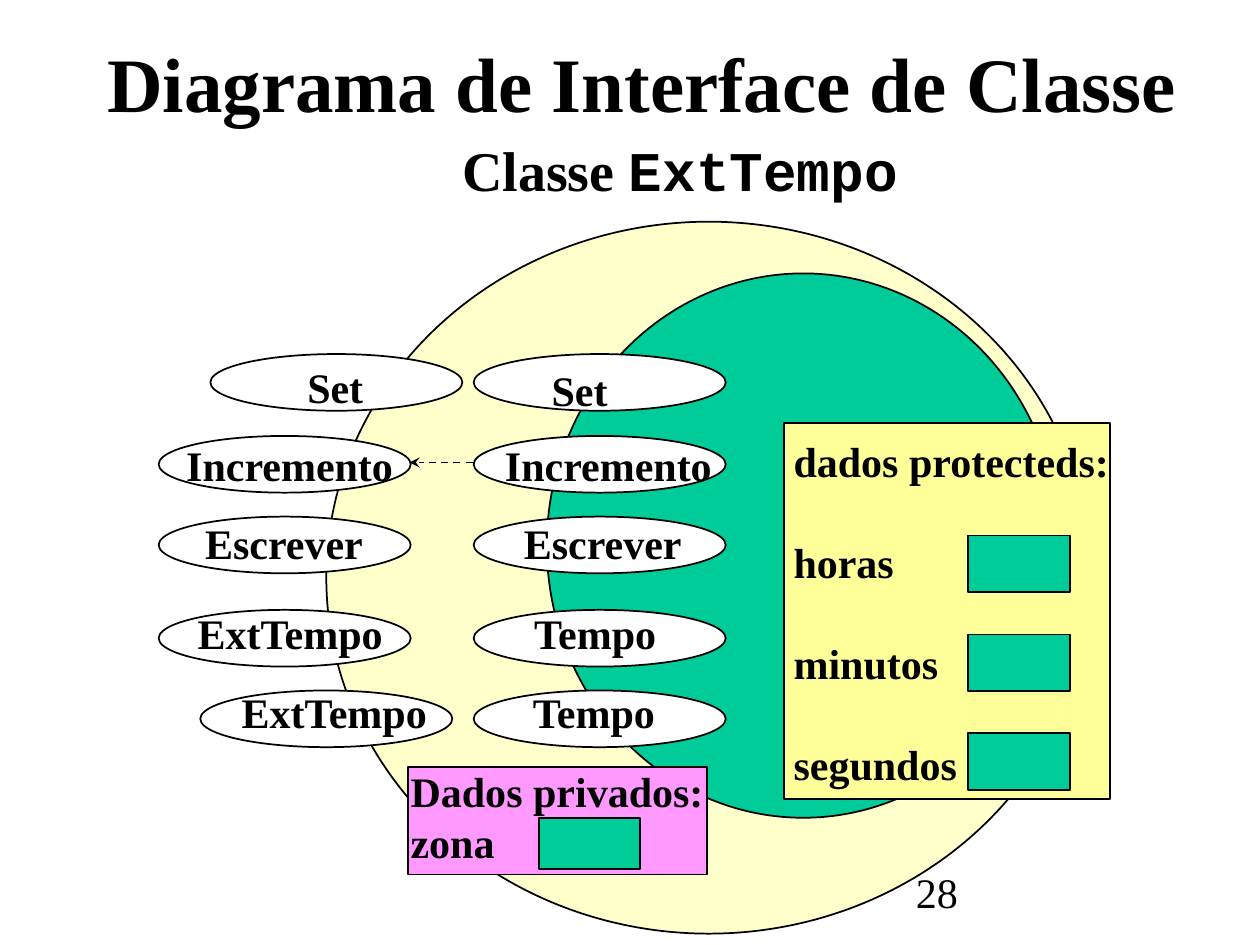
from dataclasses import dataclass

from lxml.etree import SubElement
from pptx import Presentation
from pptx.dml.color import RGBColor
from pptx.enum.dml import MSO_LINE
from pptx.enum.shapes import MSO_CONNECTOR, MSO_SHAPE
from pptx.enum.text import MSO_ANCHOR, MSO_AUTO_SIZE, PP_ALIGN
from pptx.oxml.ns import qn
from pptx.util import Inches, Length, Pt

WIDTH, HEIGHT = Inches(10), Inches(7.5)
COLUMNS, ROWS = 100, 75
SERIF, MONO = "Times New Roman", "Courier New"
BLACK, WHITE = "000000", "FFFFFF"
CREAM, GREEN, YELLOW, PINK = "FFFFCC", "00CC99", "FFFF99", "FF99FF"
BODY_SIZE = 24
LINE_GAP = 28.8


@dataclass(frozen=True)
class Box:
    """Left, top, width and height in grid columns and rows."""
    left: float
    top: float
    width: float
    height: float

    def lengths(self) -> tuple[Length, ...]:
        return x(self.left), y(self.top), x(self.width), y(self.height)


@dataclass(frozen=True)
class Method:
    name: str
    oval_left: float
    oval_top: float
    label_left: float
    label_top: float
    label_width: float


def x(columns: float) -> Length:
    return Length(round(WIDTH * columns / COLUMNS))


def y(rows: float) -> Length:
    return Length(round(HEIGHT * rows / ROWS))


def rgb(color: str) -> RGBColor:
    return RGBColor.from_string(color)


def draw_shape(slide, kind: MSO_SHAPE, box: Box, fill: str) -> None:
    shape = slide.shapes.add_shape(kind, *box.lengths())
    shape.shadow.inherit = False
    shape.fill.solid()
    shape.fill.fore_color.rgb = rgb(fill)
    shape.line.color.rgb = rgb(BLACK)
    shape.line.width = Pt(1)


def format_text(frame, size: float, bold: bool = True, wrap: bool = False) -> None:
    frame.word_wrap = wrap
    frame.auto_size = MSO_AUTO_SIZE.SHAPE_TO_FIT_TEXT
    frame.vertical_anchor = MSO_ANCHOR.TOP
    for paragraph in frame.paragraphs:
        paragraph.alignment = PP_ALIGN.LEFT
        for run in paragraph.runs:
            run.font.name = SERIF
            run.font.size = Pt(size)
            run.font.bold = bold
            run.font.color.rgb = rgb(BLACK)


def draw_text(slide, text: str, box: Box, size: float = BODY_SIZE,
              bold: bool = True, wrap: bool = False):
    frame = slide.shapes.add_textbox(*box.lengths()).text_frame
    frame.text = text
    format_text(frame, size, bold, wrap)
    return frame


def draw_title(slide, text: str, box: Box) -> None:
    title = slide.shapes.title
    title.left, title.top, title.width, title.height = box.lengths()
    title.text_frame.text = text
    format_text(title.text_frame, 44)


def draw_method(slide, method: Method) -> None:
    draw_shape(slide, MSO_SHAPE.OVAL,
               Box(method.oval_left, method.oval_top, 20, 4.5), WHITE)
    draw_text(slide, method.name,
              Box(method.label_left, method.label_top, method.label_width, 5.1))


def draw_dashed_arrow(slide, start: float, end: float, row: float) -> None:
    arrow = slide.shapes.add_connector(
        MSO_CONNECTOR.STRAIGHT, x(start), y(row), x(end), y(row))
    arrow.line.color.rgb = rgb(BLACK)
    arrow.line.width = Pt(1)
    arrow.line.dash_style = MSO_LINE.DASH
    SubElement(arrow.line._get_or_add_ln(), qn("a:tailEnd"), type="stealth")
    SubElement(arrow._element.spPr, qn("a:effectLst"))


BASE_METHODS = [
    Method("Set", 37.6, 28.1, 42.8, 28.4, 6.5),
    Method("Incremento", 37.6, 34.6, 39.1, 34.4, 18.6),
    Method("Escrever", 37.6, 41, 40.6, 40.6, 14.7),
    Method("Tempo", 37.6, 48.4, 41.4, 47.7, 11.8),
    Method("Tempo", 37.6, 54.8, 41.3, 54, 11.8),
]
DERIVED_METHODS = [
    Method("Set", 16.7, 28.1, 23.4, 28.2, 6.5),
    Method("Incremento", 12.6, 34.6, 13.8, 34.4, 18.6),
    Method("Escrever", 12.6, 41, 15.3, 40.6, 14.7),
    Method("ExtTempo", 12.6, 48.4, 14.7, 47.7, 16.9),
    Method("ExtTempo", 15.9, 54.8, 18.2, 54, 16.9),
]
PROTECTED_FIELDS = ["horas", "minutos", "segundos"]


def draw_protected_data(slide) -> None:
    draw_shape(slide, MSO_SHAPE.RECTANGLE, Box(62.2, 33.6, 25.9, 29.8), YELLOW)
    fields = draw_text(slide, "\n".join(["dados protecteds:", *PROTECTED_FIELDS]),
                       Box(62, 34.1, 27.3, 29.3))
    for paragraph in fields.paragraphs[1:]:
        paragraph.space_before = Pt(LINE_GAP)
    for index in range(len(PROTECTED_FIELDS)):
        draw_shape(slide, MSO_SHAPE.RECTANGLE,
                   Box(76.8, 42.5 + 7.85 * index, 8.1, 4.5), GREEN)


def draw_private_data(slide) -> None:
    draw_shape(slide, MSO_SHAPE.RECTANGLE, Box(32.4, 60.9, 23.7, 8.5), PINK)
    draw_text(slide, "Dados privados:\nzona", Box(31.6, 60.3, 26.1, 9.1), wrap=True)
    draw_shape(slide, MSO_SHAPE.RECTANGLE, Box(42.8, 64.9, 8, 4.1), GREEN)


def main() -> None:
    presentation = Presentation()
    presentation.slide_width, presentation.slide_height = WIDTH, HEIGHT
    slide = presentation.slides.add_slide(presentation.slide_layouts[5])

    draw_title(slide, "Diagrama de Interface de Classe", Box(7.5, 2.3, 87.7, 8.4))
    draw_text(slide, "28", Box(71.7, 68.3, 20.8, 5), bold=False, wrap=True)
    draw_shape(slide, MSO_SHAPE.OVAL, Box(25.9, 17.6, 60.7, 56.5), CREAM)
    draw_shape(slide, MSO_SHAPE.OVAL, Box(43.4, 21.7, 40.7, 43.2), GREEN)
    draw_protected_data(slide)

    subtitle = draw_text(slide, "Classe ", Box(35.7, 10.3, 37, 6.4), 32)
    subtitle.paragraphs[0].add_run().text = "ExtTempo"
    format_text(subtitle, 32)
    subtitle.paragraphs[0].runs[1].font.name = MONO

    for method in BASE_METHODS + DERIVED_METHODS:
        draw_method(slide, method)
    draw_dashed_arrow(slide, 37.5, 32.5, 36.7)
    draw_private_data(slide)
    presentation.save("out.pptx")


if __name__ == "__main__":
    main()
